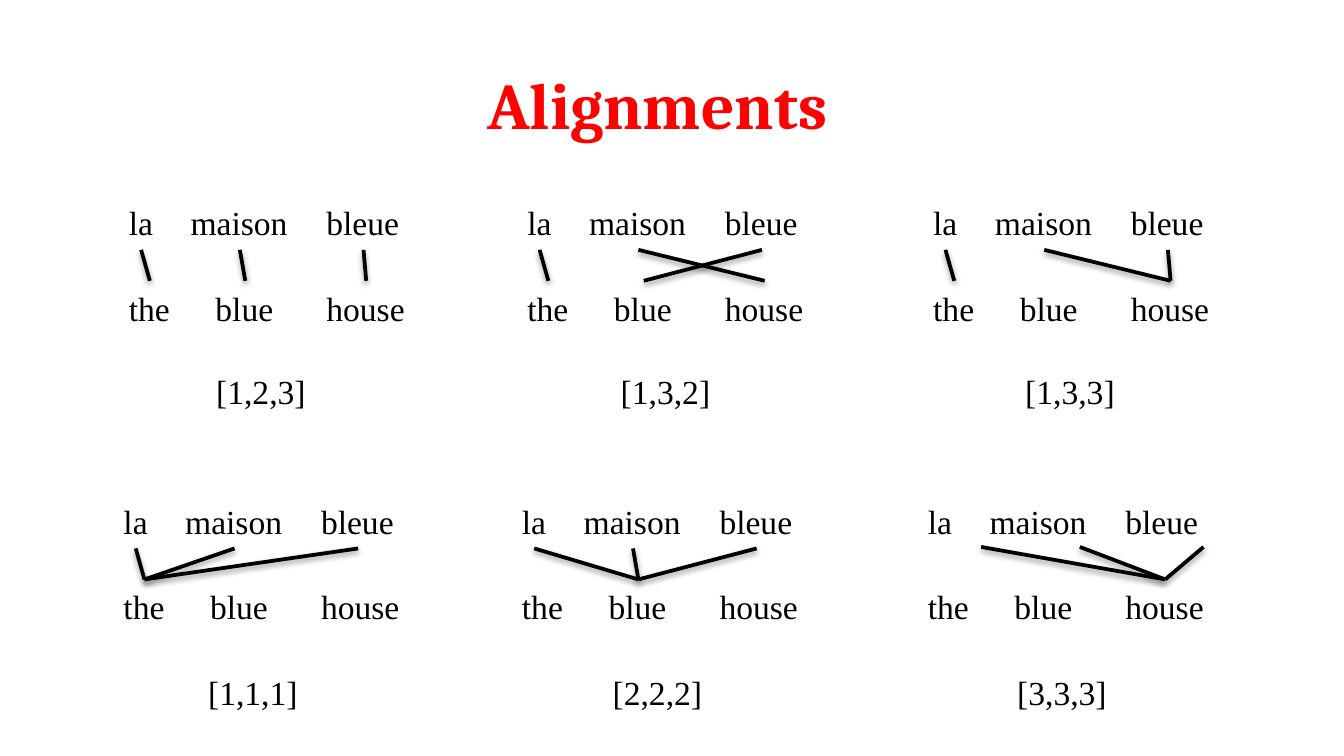
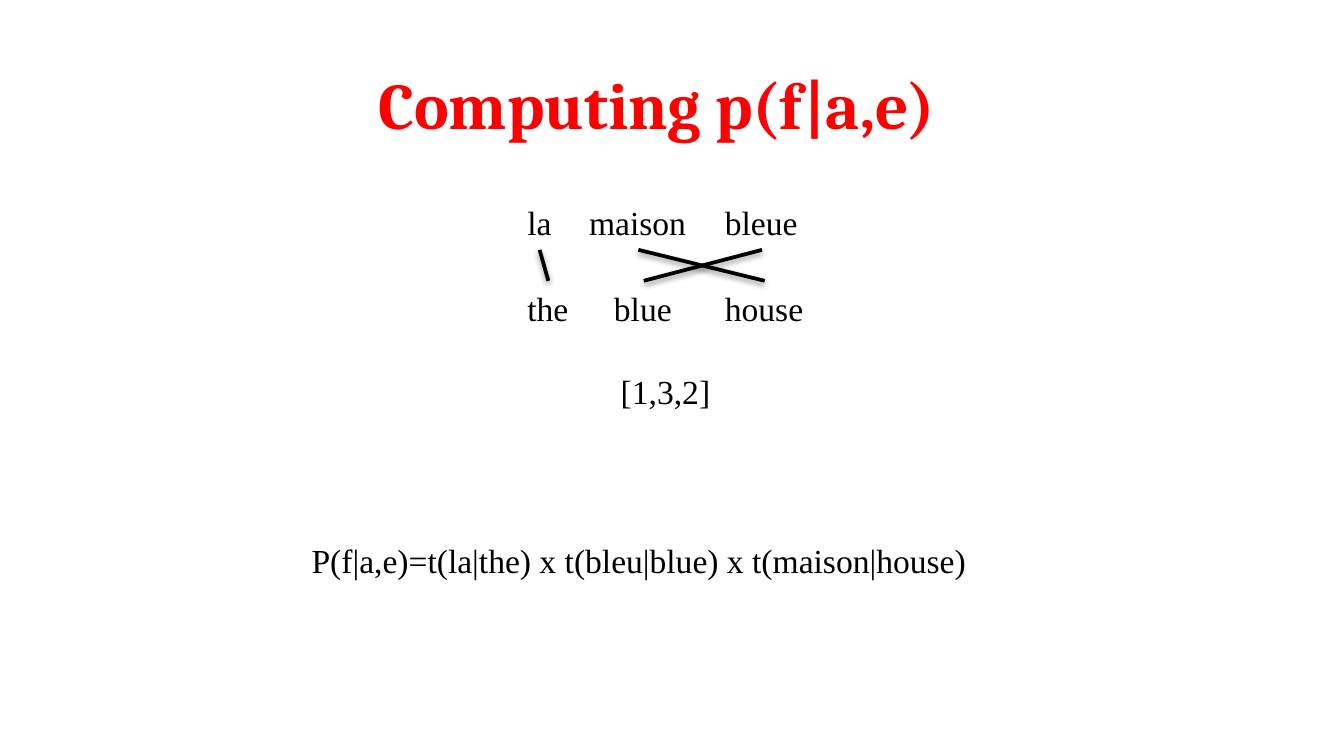
from dataclasses import dataclass

from lxml.etree import SubElement
from pptx import Presentation
from pptx.dml.color import RGBColor
from pptx.enum.shapes import MSO_CONNECTOR
from pptx.enum.text import MSO_ANCHOR, MSO_AUTO_SIZE, PP_ALIGN
from pptx.oxml.ns import qn
from pptx.util import Inches, Pt


@dataclass(frozen=True)
class Theme:
    red: RGBColor = RGBColor(0xFF, 0x00, 0x00)
    black: RGBColor = RGBColor(0x00, 0x00, 0x00)
    title_font: str = "Cambria"
    body_font: str = "Times New Roman"
    title_size: Pt = Pt(35)
    body_size: Pt = Pt(18)
    line_width: Pt = Pt(2)


THEME = Theme()
WIDTH = Inches(10)
HEIGHT = WIDTH * 9 // 16
TITLE_FORMAT = dict(name=THEME.title_font, size=THEME.title_size, bold=True)
BODY_FORMAT = dict(name=THEME.body_font, size=THEME.body_size)
SHADOW = dict(blurRad="40000", dist="20000", dir="5400000", rotWithShape="0")

# Positions and sizes are percentages of the slide's width and height
PANEL_LEFTS = (8.6, 38.25, 68.45)
PANEL_TOPS = (25.9, 65.4)
ROW_SHIFT = -0.4            # the second row sits slightly to the left
LABEL_LEFT, LABEL_STEP, LABEL_SHIFT = 15.1, 30.1, -0.6
LABEL_DROP = (22.25, 22.6)
WORD_DROP, TEXT_HEIGHT = 11.25, 7.15

# Word, offset from the panel's left edge, width
FRENCH = (("la", 0, 3.8), ("maison", 4.6, 9.3), ("bleue", 14.7, 7.5))
ENGLISH = (("the", 0, 5.1), ("blue", 6.45, 6.4), ("house", 14.7, 7.9))

# English position of each French word, by panel row
ALIGNMENTS = (((1, 2, 3), (1, 3, 2), (1, 3, 3)),
              ((1, 1, 1), (2, 2, 2), (3, 3, 3)))
LOOSE_PANEL = (1, 2)        # its lines start beside the French words
LOOSE_SHIFT = (3.05, -0.2)


def px(share):
    return round(WIDTH * share / 100)


def py(share):
    return round(HEIGHT * share / 100)


def format_font(font, values, color):
    for name, value in values.items():
        setattr(font, name, value)
    font.color.rgb = color


def add_title_slide(prs, title):
    s = prs.slides.add_slide(prs.slide_layouts[5])
    sp = s.shapes.title
    box = dict(left=px(2.8), top=py(7.65), width=px(92.2), height=py(13.7))
    for name, value in box.items():
        setattr(sp, name, value)
    tf = sp.text_frame
    tf.auto_size = MSO_AUTO_SIZE.NONE
    tf.vertical_anchor = MSO_ANCHOR.TOP
    p = tf.paragraphs[0]
    p.alignment = PP_ALIGN.CENTER
    r = p.add_run()
    r.text = title
    format_font(r.font, TITLE_FORMAT, THEME.red)
    return s


def add_text(s, text, left, top, width):
    sp = s.shapes.add_textbox(px(left), py(top), px(width), py(TEXT_HEIGHT))
    tf = sp.text_frame
    tf.word_wrap = False
    tf.auto_size = MSO_AUTO_SIZE.SHAPE_TO_FIT_TEXT
    r = tf.paragraphs[0].add_run()
    r.text = text
    format_font(r.font, BODY_FORMAT, THEME.black)
    return sp


def add_words(s, words, left, top):
    return [add_text(s, word, left + offset, top, width)
            for word, offset, width in words]


def add_link(s, source, target, loose):
    """Line from below a French word to the top of an English word."""
    dx, dy = LOOSE_SHIFT
    cxn = s.shapes.add_connector(
        MSO_CONNECTOR.STRAIGHT,
        source.left + source.width // 2 + px(dx),
        source.top + source.height + py(dy),
        target.left + target.width // 2, target.top)
    if not loose:
        cxn.begin_connect(source, 2)
    cxn.end_connect(target, 0)
    cxn.line.color.rgb = THEME.black
    cxn.line.width = THEME.line_width
    # Soft shadow below the line
    effects = SubElement(cxn._element.spPr, qn("a:effectLst"))
    shadow = SubElement(effects, qn("a:outerShdw"), SHADOW)
    color = SubElement(shadow, qn("a:srgbClr"), val=str(THEME.black))
    SubElement(color, qn("a:alpha"), val="38000")


def add_panel(s, row, col):
    """Sentence pair, its alignment lines and the alignment vector."""
    alignment = ALIGNMENTS[row][col]
    left = PANEL_LEFTS[col] + row * ROW_SHIFT
    top = PANEL_TOPS[row]
    french = add_words(s, FRENCH, left, top)
    english = add_words(s, ENGLISH, left, top + WORD_DROP)
    for source, position in zip(french, alignment):
        add_link(s, source, english[position - 1], (row, col) == LOOSE_PANEL)
    label = "[" + ",".join(map(str, alignment)) + "]"
    add_text(s, label, LABEL_LEFT + col * LABEL_STEP + row * LABEL_SHIFT,
             top + LABEL_DROP[row], 8.8)


def main():
    prs = Presentation()
    prs.slide_width, prs.slide_height = WIDTH, HEIGHT

    # All alignments
    s = add_title_slide(prs, "Alignments")
    for row, alignments in enumerate(ALIGNMENTS):
        for col in range(len(alignments)):
            add_panel(s, row, col)

    # Probability of one alignment
    s = add_title_slide(prs, "Computing p(f|a,e)")
    add_panel(s, 0, 1)
    add_text(s, "P(f|a,e)=t(la|the) x t(bleu|blue) x t(maison|house)",
             22.2, 70.6, 51.3)

    prs.save("out.pptx")


if __name__ == "__main__":
    main()
